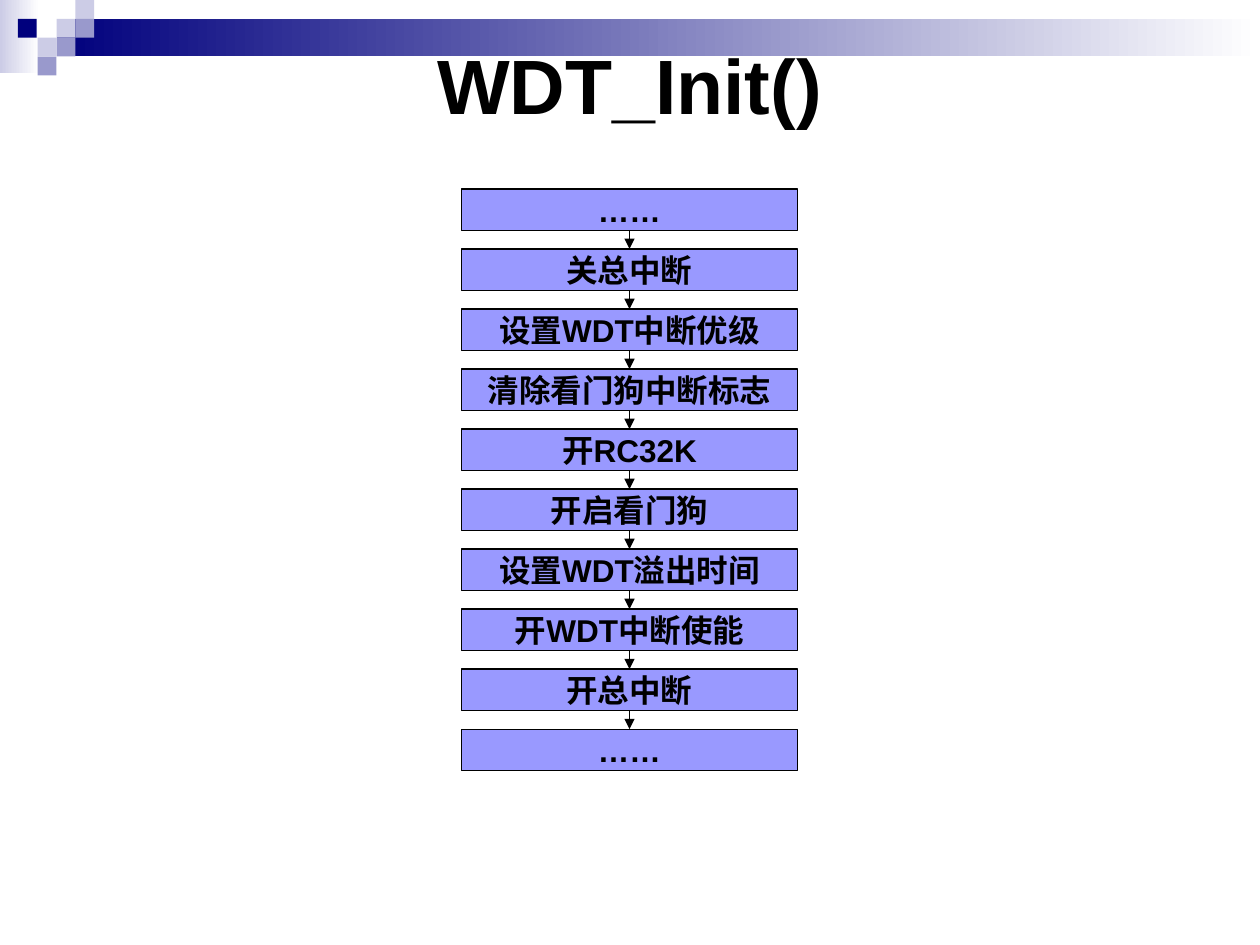
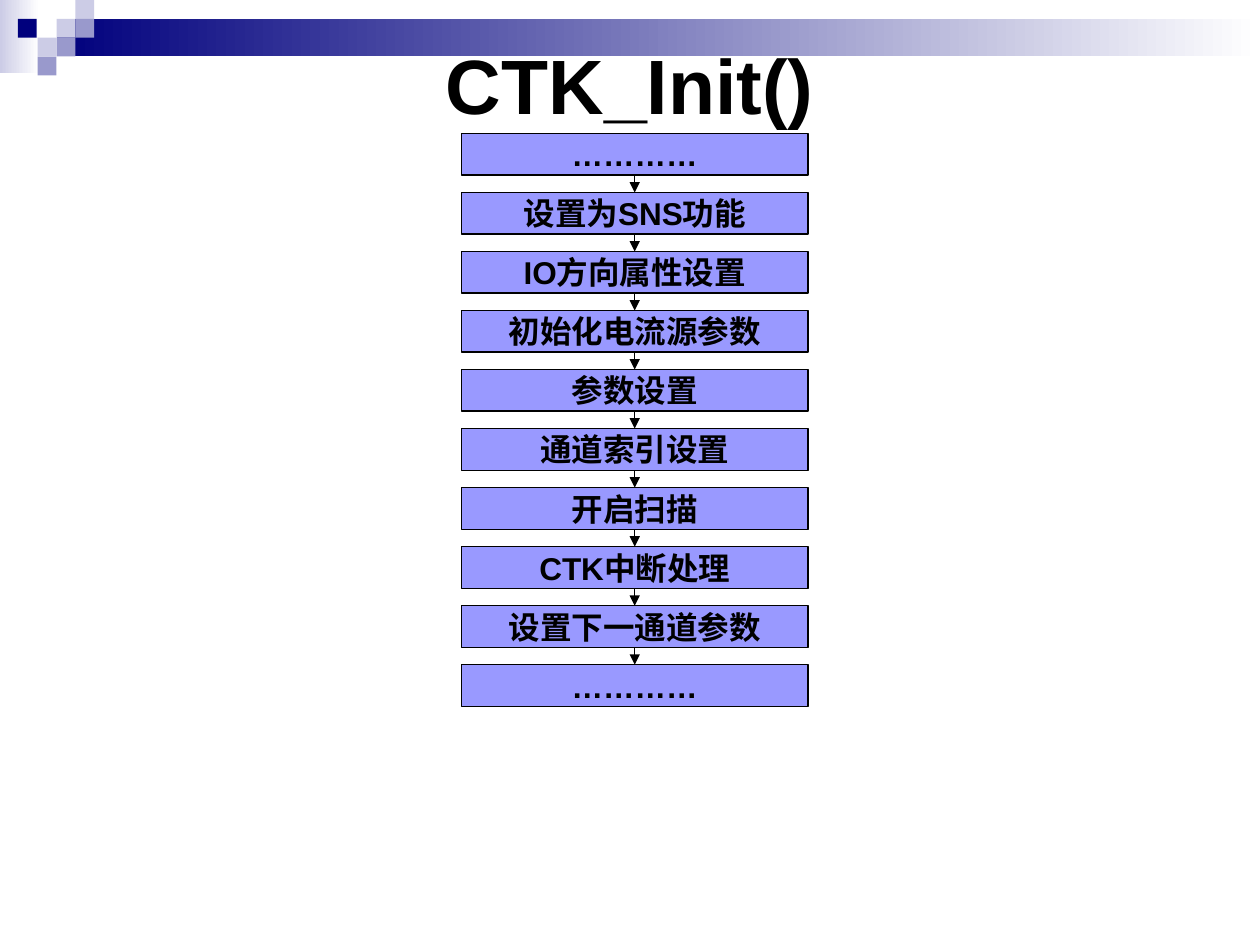
from lxml import etree
from pptx import Presentation
from pptx.dml.color import RGBColor
from pptx.enum.shapes import MSO_CONNECTOR, MSO_SHAPE
from pptx.enum.text import MSO_ANCHOR, PP_ALIGN
from pptx.oxml.ns import qn
from pptx.util import Cm, Pt

RECT = MSO_SHAPE.RECTANGLE
LINE = MSO_CONNECTOR.STRAIGHT
MIDDLE = MSO_ANCHOR.MIDDLE
CENTER = PP_ALIGN.CENTER

WHITE = RGBColor(0xFF, 0xFF, 0xFF)
BLACK = RGBColor(0, 0, 0)
NAVY = RGBColor(0, 0, 0x7D)
PALE = RGBColor(0xCC, 0xCC, 0xE6)
MID = RGBColor(0x99, 0x99, 0xCC)
LILAC = RGBColor(0x99, 0x99, 0xFF)
FONT = "Arial"

WIDTH, HEIGHT = 25.4, 19.05
CELL = 0.38     # side of a corner tile
STEP_H = 0.84   # height of a flow step

# Corner tiles: left edge, row, colour
TILES = [
    (1.14, 1, PALE), (1.52, 0, PALE), (1.52, 1, MID), (0.76, 2, PALE),
    (0.36, 1, NAVY), (1.14, 2, MID), (0.76, 3, MID),
]

# Title, flow box (left, top, width), pitch, steps
FLOWS = [
    ("WDT_Init()", (9.3, 3.81, 6.78), 1.21, [
        "……", "关总中断", "设置WDT中断优级", "清除看门狗中断标志", "开RC32K",
        "开启看门狗", "设置WDT溢出时间", "开WDT中断使能", "开总中断", "……"]),
    ("CTK_Init()", (9.3, 2.69, 6.99), 1.19, [
        "…………", "设置为SNS功能", "IO方向属性设置", "初始化电流源参数", "参数设置",
        "通道索引设置", "开启扫描", "CTK中断处理", "设置下一通道参数", "…………"]),
]


def add_rect(shapes, left, top, width, height, color, fade=False):
    rect = shapes.add_shape(RECT, Cm(left), Cm(top), Cm(width), Cm(height))
    rect.shadow.inherit = False
    rect.line.fill.background()
    if fade:
        rect.fill.gradient()
        rect.fill.gradient_angle = 0
        for stop, tone in zip(rect.fill.gradient_stops, (color, WHITE)):
            stop.color.rgb = tone
    else:
        rect.fill.solid()
        rect.fill.fore_color.rgb = color
    return rect


def add_text(shape, text, size, wrap):
    frame = shape.text_frame
    frame.word_wrap = wrap
    frame.vertical_anchor = MIDDLE
    para = frame.paragraphs[0]
    para.alignment = CENTER
    run = para.add_run()
    run.text = text
    run.font.name = FONT
    run.font.size = Pt(size)
    run.font.bold = True
    run.font.color.rgb = BLACK


def add_arrow(slide, x, top, end):
    arrow = slide.shapes.add_connector(LINE, Cm(x), Cm(top), Cm(x), Cm(end))
    arrow.line.color.rgb = BLACK
    arrow.line.width = Pt(0.75)
    etree.SubElement(arrow.line._get_or_add_ln(), qn("a:tailEnd"), type="triangle")
    etree.SubElement(arrow._element.spPr, qn("a:effectLst"))


def add_band(slide):
    """Fading bars and corner tiles at the top."""
    shapes = slide.shapes.add_group_shape().shapes
    add_rect(shapes, 0, 0, 0.79, 1.47, PALE, fade=True)
    add_rect(shapes, 1.14, CELL, WIDTH - 1.14, 2 * CELL, NAVY, fade=True)
    for left, row, color in TILES:
        add_rect(shapes, left, row * CELL, CELL, CELL, color)


def add_title(slide, text):
    box = slide.shapes.add_textbox(Cm(1.27), Cm(1.27), Cm(WIDTH - 2.54), Cm(0.84))
    add_text(box, text, 44, True)


def add_flow(slide, box, pitch, steps):
    """Column of steps, each joined to the next by an arrow."""
    left, top, width = box
    for i, step in enumerate(steps):
        y = top + i * pitch
        rect = add_rect(slide.shapes, left, y, width, STEP_H, LILAC)
        rect.line.color.rgb = BLACK
        rect.line.width = Pt(0.75)
        add_text(rect, step, 18, False)
        if i:
            add_arrow(slide, left + width / 2, y - pitch + STEP_H, y)


def main():
    deck = Presentation()
    deck.slide_width, deck.slide_height = Cm(WIDTH), Cm(HEIGHT)
    for title, box, pitch, steps in FLOWS:
        slide = deck.slides.add_slide(deck.slide_layouts[6])
        add_band(slide)
        add_title(slide, title)
        add_flow(slide, box, pitch, steps)
    deck.save("out.pptx")


if __name__ == "__main__":
    main()
